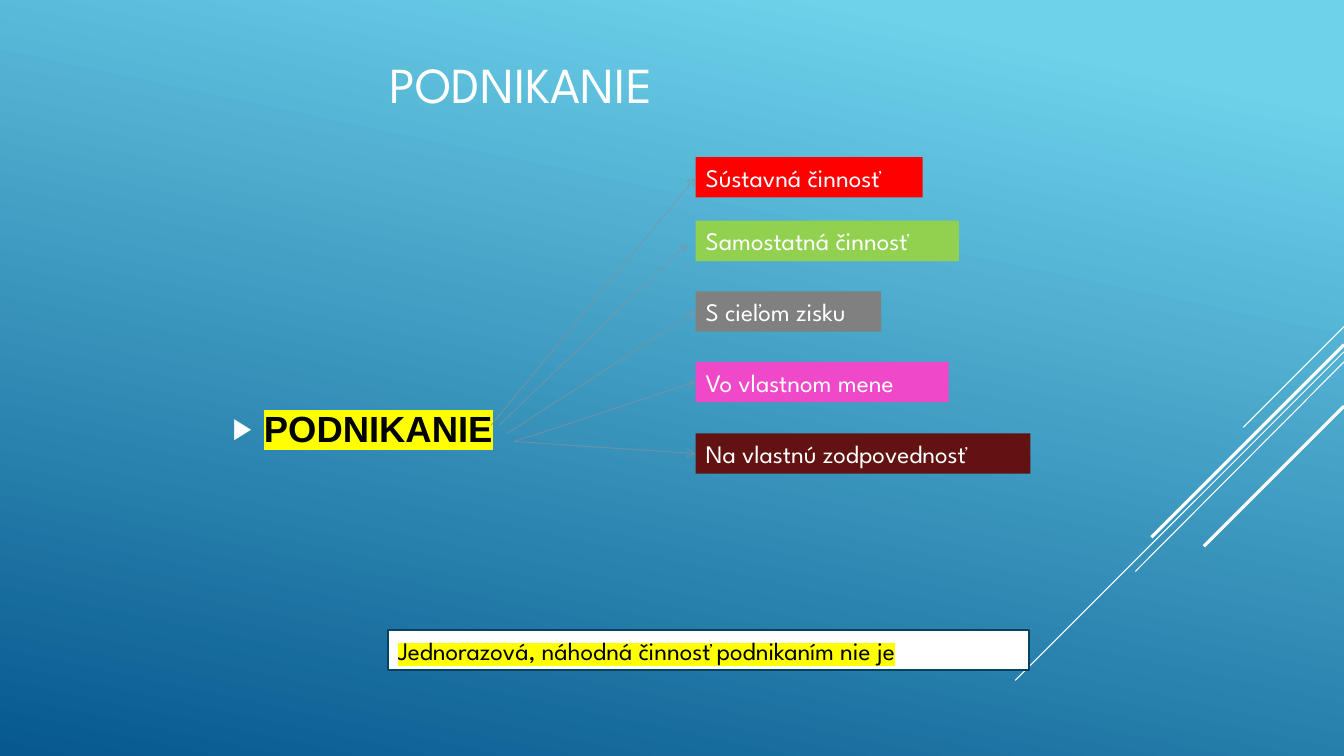
"""Build the PODNIKANIE slide: one term linked to its five features."""
from pptx import Presentation
from pptx import util as u
from pptx.dml.color import RGBColor
from pptx.enum import shapes, text
from pptx.oxml import parse_xml
from pptx.oxml.ns import nsdecls, qn

COLORS = {
    "sky": "6ED2EB", "deep": "06588E", "white": "FFFFFF", "black": "000000",
    "yellow": "FFFF00", "red": "FF0000", "green": "92D050", "gray": "808080",
    "pink": "EF48C9", "maroon": "631212", "arrow": "89919C", "border": "054361",
}
COLORS = {name: RGBColor.from_string(value) for name, value in COLORS.items()}
HEADING = {"name": "League Spartan", "size": u.Pt(36)}
LABEL = {"name": "League Spartan", "size": u.Pt(18)}
TERM = {"name": "Arial", "size": u.Pt(26), "bold": True}

presentation = Presentation()
presentation.slide_width, presentation.slide_height = u.Inches(13.33), u.Inches(7.5)
slide = presentation.slides.add_slide(presentation.slide_layouts[6])

background = slide.background.fill
background.gradient()
background.gradient_angle = 258
for stop, position, color in zip(background.gradient_stops, (0.1, 1), ("sky", "deep")):
    stop.position = position
    stop.color.rgb = COLORS[color]


def write(shape, wording, font, color, highlight=None):
    """Put one formatted paragraph into a shape and return the paragraph."""
    frame = shape.text_frame
    frame.word_wrap = True
    frame.vertical_anchor = text.MSO_ANCHOR.MIDDLE
    paragraph = frame.paragraphs[0]
    paragraph.alignment = text.PP_ALIGN.LEFT
    run = paragraph.add_run()
    run.text = wording
    for attribute, value in font.items():
        setattr(run.font, attribute, value)
    run.font.color.rgb = COLORS[color]
    if highlight:
        run.font._element.find(qn("a:solidFill")).addnext(parse_xml(
            f'<a:highlight {nsdecls("a")}><a:srgbClr val="{COLORS[highlight]}"/></a:highlight>'))
    return paragraph


def draw_line(start, end, color, width):
    """Draw a straight connector without shadow."""
    connector = slide.shapes.add_connector(
        shapes.MSO_CONNECTOR.STRAIGHT, *(u.Inches(value) for value in (*start, *end)))
    connector.line.color.rgb = COLORS[color]
    connector.line.width = u.Pt(width)
    connector.element.spPr.append(parse_xml(f'<a:effectLst {nsdecls("a")}/>'))
    return connector


for start_y, end_x, end_y, width in (
    (3.24, 12.33, 4.24, 0.75),
    (3.49, 10.07, 6.75, 0.75),
    (3.59, 11.26, 5.67, 0.75),
    (3.42, 11.42, 5.33, 2.25),
    (4.03, 11.94, 5.42, 2.25),
):
    draw_line((13.33, start_y), (end_x, end_y), "white", width)

title = slide.shapes.add_textbox(u.Inches(1.67), u.Inches(0), u.Inches(7), u.Inches(1.65))
write(title, "PODNIKANIE", HEADING, "white").alignment = text.PP_ALIGN.CENTER

body = slide.shapes.add_textbox(u.Inches(2.21), u.Inches(2.27), u.Inches(7), u.Inches(3.95))
term = write(body, "PODNIKANIE", TERM, "black", "yellow")
term.space_after = u.Pt(6)
properties = term._p.get_or_add_pPr()
properties.set("marL", str(u.Inches(0.31)))
properties.set("indent", str(-u.Inches(0.31)))
for bullet in (
    f'<a:buClr {nsdecls("a")}><a:srgbClr val="{COLORS["white"]}"/></a:buClr>',
    f'<a:buSzPct {nsdecls("a")} val="80000"/>',
    f'<a:buFont {nsdecls("a")} typeface="Arial"/>',
    f'<a:buChar {nsdecls("a")} char="▶"/>',
):
    properties.append(parse_xml(bullet))

boxes = []
for wording, left, top, width, fill, color, highlight in (
    ("Sústavná činnosť", 6.9, 1.56, 2.25, "red", "white", None),
    ("Samostatná činnosť", 6.9, 2.19, 2.61, "green", "white", None),
    ("S cieľom zisku", 6.9, 2.89, 1.84, "gray", "white", None),
    ("Vo vlastnom mene", 6.9, 3.59, 2.51, "pink", "white", None),
    ("Na vlastnú zodpovednosť", 6.9, 4.3, 3.32, "maroon", "white", None),
    ("Jednorazová, náhodná činnosť podnikaním nie je", 3.85, 6.25, 6.36,
     "white", "black", "yellow"),
):
    box = slide.shapes.add_shape(
        shapes.MSO_SHAPE.RECTANGLE,
        u.Inches(left), u.Inches(top), u.Inches(width), u.Inches(0.4))
    box.shadow.inherit = False
    box.fill.solid()
    box.fill.fore_color.rgb = COLORS[fill]
    box.line.fill.background()
    write(box, wording, LABEL, color, highlight)
    boxes.append(box)

*features, note = boxes
note.line.color.rgb = COLORS["border"]
note.line.width = u.Pt(1.25)

for feature, start, end, joined in zip(
    features,
    ((4.87, 4.22), (4.95, 4.22), (5.03, 4.3), (5.1, 4.38), (5.1, 4.38)),
    ((6.9, 1.76), (6.82, 2.42), (6.9, 3.09), (6.9, 3.79), (6.9, 4.5)),
    (True, False, True, True, True),
):
    arrow = draw_line(start, end, "arrow", 0.75)
    if joined:
        arrow.end_connect(feature, 1)
    outline = arrow.element.spPr.find(qn("a:ln"))
    outline.find(f'{qn("a:solidFill")}/{qn("a:srgbClr")}').append(
        parse_xml(f'<a:alpha {nsdecls("a")} val="60000"/>'))
    outline.append(parse_xml(f'<a:tailEnd {nsdecls("a")} type="arrow"/>'))

presentation.save("out.pptx")
